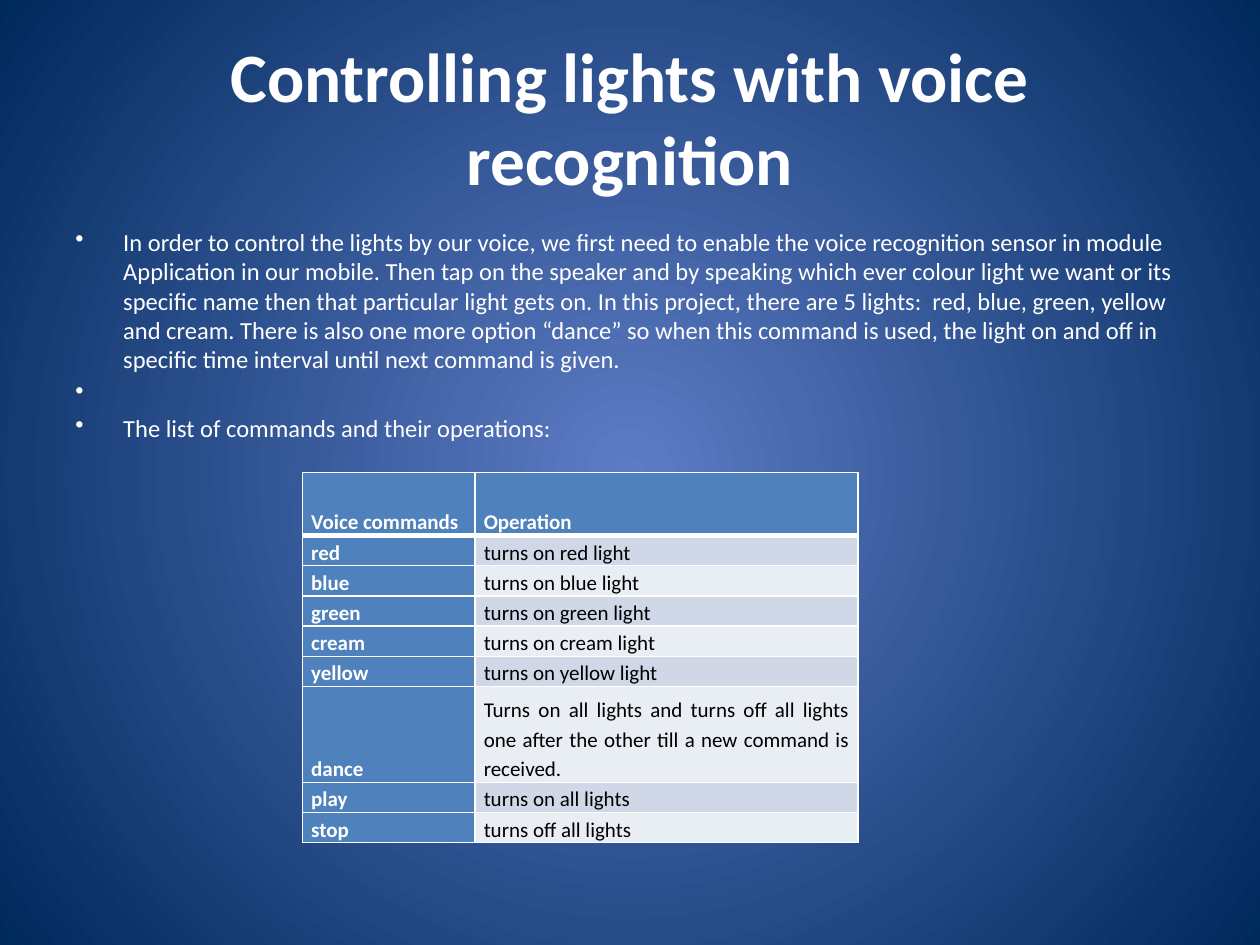
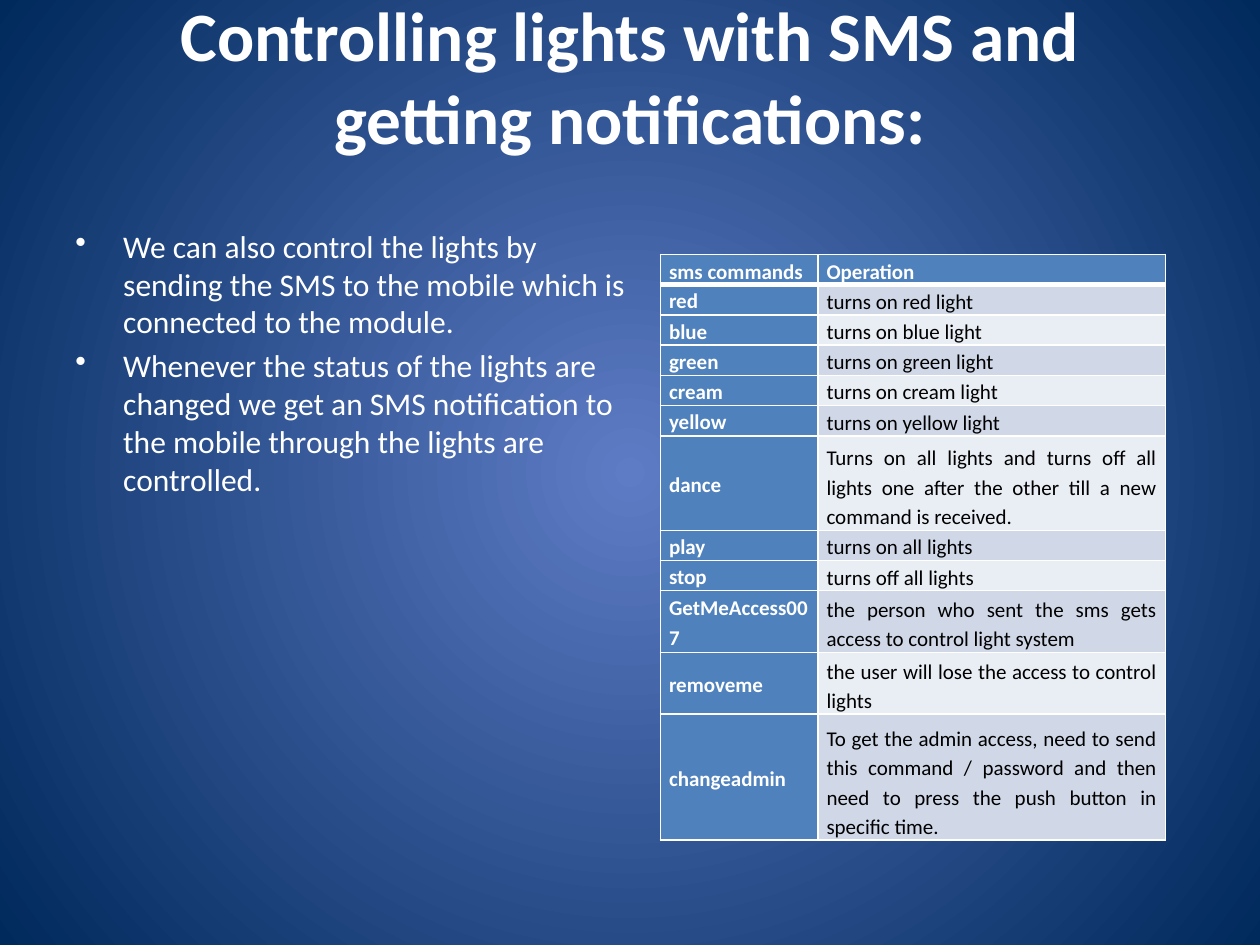
"""Two slides on controlling lights by voice and by SMS, each with a command table."""
from lxml import etree
from pptx import Presentation
from pptx.dml.color import RGBColor
from pptx.enum.text import MSO_ANCHOR, MSO_AUTO_SIZE, PP_ALIGN
from pptx.oxml import parse_xml
from pptx.oxml.ns import nsdecls, qn
from pptx.util import Inches, Pt

CENTER, JUSTIFY = PP_ALIGN.CENTER, PP_ALIGN.JUSTIFY
MIDDLE, BOTTOM = MSO_ANCHOR.MIDDLE, MSO_ANCHOR.BOTTOM
NO_FIT = MSO_AUTO_SIZE.NONE

FONT = "Calibri"
WHITE = RGBColor(0xFF, 0xFF, 0xFF)
BLACK = RGBColor(0x00, 0x00, 0x00)
GLOW = RGBColor(0x5E, 0x7C, 0xC5)
NAVY = RGBColor(0x00, 0x29, 0x5C)
HEADER = RGBColor(0x4F, 0x81, 0xBD)
BANDS = (RGBColor(0xE9, 0xED, 0xF4), RGBColor(0xD0, 0xD8, 0xE8))

WIDTH, HEIGHT = Inches(10), Inches(7.5)
MARGIN = WIDTH // 20
CONTENT = WIDTH - 2 * MARGIN
TITLE_TOP, TITLE_HEIGHT = HEIGHT // 25, HEIGHT // 6
BODY_TOP, BODY_HEIGHT = Inches(1.75), Inches(4.95)
INDENT = Inches(0.38)
ROW_HEIGHT = 0.24

COLOURS = ("red", "blue", "green", "cream", "yellow")
LIGHT_COMMANDS = [(c, f"turns on {c} light") for c in COLOURS] + [
    ("dance", "Turns on all lights and turns off all lights one after the other "
              "till a new command is received."),
    ("play", "turns on all lights"),
    ("stop", "turns off all lights"),
]
ACCESS_COMMANDS = [
    ("GetMeAccess007", "the person who sent the sms gets access to control light system"),
    ("removeme", "the user will lose the access to control lights"),
    ("changeadmin", "To get the admin access, need to send this command / password "
                    "and then need to press the push button in specific time."),
]
VOICE_TEXT = [
    "In order to control the lights by our voice, we first need to enable the voice "
    "recognition sensor in module Application in our mobile. Then tap on the speaker and "
    "by speaking which ever colour light we want or its specific name then that particular "
    "light gets on. In this project, there are 5 lights:  red, blue, green, yellow and "
    "cream. There is also one more option “dance” so when this command is used, the light "
    "on and off in specific time interval until next command is given.",
    " ",
    "The list of commands and their operations:",
]
SMS_TEXT = [
    "We can also control the lights by sending the SMS to the mobile which is connected "
    "to the module.",
    "Whenever the status of the lights are changed we get an SMS notification to the "
    "mobile through the lights are controlled.",
]


def set_background(master):
    """Give every slide a radial gradient, light in the centre."""
    fill = master.background.fill
    fill.gradient()
    for stop, color in zip(fill.gradient_stops, (GLOW, NAVY)):
        stop.color.rgb = color
    grad = master.element.xpath("p:cSld/p:bg//a:gradFill")[0]
    grad.replace(grad.find(qn("a:lin")), parse_xml(
        f'<a:path {nsdecls("a")} path="circle">'
        '<a:fillToRect l="50000" t="50000" r="50000" b="50000"/></a:path>'))


def set_font(p, size, color, bold=False):
    """Format a whole paragraph."""
    font = p.font
    font.name, font.size, font.bold = FONT, Pt(size), bold
    font.color.rgb = color


def add_titled_slide(prs, title, bottom_inset=0.05):
    """Add a title-only slide with the shared title style."""
    s = prs.slides.add_slide(prs.slide_layouts[5])
    sp = s.shapes.title
    sp.left, sp.top, sp.width, sp.height = MARGIN, TITLE_TOP, CONTENT, TITLE_HEIGHT
    tf = sp.text_frame
    tf.text = title
    tf.auto_size, tf.vertical_anchor = NO_FIT, MIDDLE
    tf.margin_bottom = Inches(bottom_inset)
    p = tf.paragraphs[0]
    p.alignment = CENTER
    set_font(p, 39.6, WHITE, bold=True)
    return s


def add_bullets(s, items, width, size):
    """Add a bulleted text below the title."""
    tf = s.shapes.add_textbox(MARGIN, BODY_TOP, width, BODY_HEIGHT).text_frame
    tf.word_wrap = True
    tf.text = "\n".join(items)
    for p in tf.paragraphs:
        set_font(p, size, WHITE)
        p.space_before = Pt(size * 0.2)
        pPr = p._p.get_or_add_pPr()
        pPr.set("marL", str(INDENT))
        pPr.set("indent", str(-INDENT))
        bullet = parse_xml(f'<a:buChar {nsdecls("a")} char="•"/>')
        pPr.insert_element_before(bullet, "a:tabLst", "a:defRPr", "a:extLst")


def set_borders(cell, top, bottom):
    """Draw white lines around a cell, with the top and bottom widths in points."""
    tcPr = cell._tc.get_or_add_tcPr()
    for side, width in (("L", 1), ("R", 1), ("T", top), ("B", bottom)):
        ln = etree.SubElement(tcPr, qn(f"a:ln{side}"), w=str(Pt(width)))
        solid = etree.SubElement(ln, qn("a:solidFill"))
        etree.SubElement(solid, qn("a:srgbClr"), val=str(WHITE))


def fill_cell(cell, text, row, is_key, anchor):
    """Write and format one table cell."""
    strong = is_key or row == 0
    set_borders(cell, 3 if row == 1 else 1, 3 if row == 0 else 1)
    cell.fill.solid()
    cell.fill.fore_color.rgb = HEADER if strong else BANDS[row % 2]
    cell.margin_left = cell.margin_right = Inches(0.07)
    cell.margin_top = cell.margin_bottom = 0
    cell.vertical_anchor = anchor
    cell.text = text
    p = cell.text_frame.paragraphs[0]
    p.alignment, p.line_spacing = JUSTIFY, 1.15
    set_font(p, 12, WHITE if strong else BLACK, strong)


def add_commands(s, left, top, widths, rows, tall_rows, key_anchor=BOTTOM):
    """Add a command table; tall_rows maps a command to its row height."""
    heights = [tall_rows.get(key, ROW_HEIGHT) for key, _ in rows]
    table = s.shapes.add_table(len(rows), len(widths), Inches(left), Inches(top),
                               Inches(sum(widths)), Inches(sum(heights))).table
    for column, width in zip(table.columns, widths):
        column.width = Inches(width)
    for i, (texts, height) in enumerate(zip(rows, heights)):
        table.rows[i].height = Inches(height)
        for j, text in enumerate(texts):
            anchor = key_anchor if i and j == 0 else BOTTOM
            fill_cell(table.cell(i, j), text, i, j == 0, anchor)


def main():
    """Build and save both slides."""
    prs = Presentation()
    prs.slide_width, prs.slide_height = WIDTH, HEIGHT
    set_background(prs.slide_master)

    s = add_titled_slide(prs, "Controlling lights with voice recognition")
    add_bullets(s, VOICE_TEXT, CONTENT, 14)
    add_commands(s, 2.4, 3.75, (1.37, 3.04),
                 [("Voice commands", "Operation")] + LIGHT_COMMANDS,
                 {"Voice commands": 0.5, "dance": 0.76})

    s = add_titled_slide(prs, "Controlling lights with SMS and getting notifications:", 0.71)
    add_bullets(s, SMS_TEXT, Inches(4.66), 18)
    add_commands(s, 5.24, 2.02, (1.25, 2.76),
                 [("sms commands", "Operation")] + LIGHT_COMMANDS + ACCESS_COMMANDS,
                 {"dance": 0.75, "GetMeAccess007": 0.49, "removeme": 0.49, "changeadmin": 1},
                 key_anchor=MIDDLE)

    prs.save("out.pptx")


if __name__ == "__main__":
    main()
